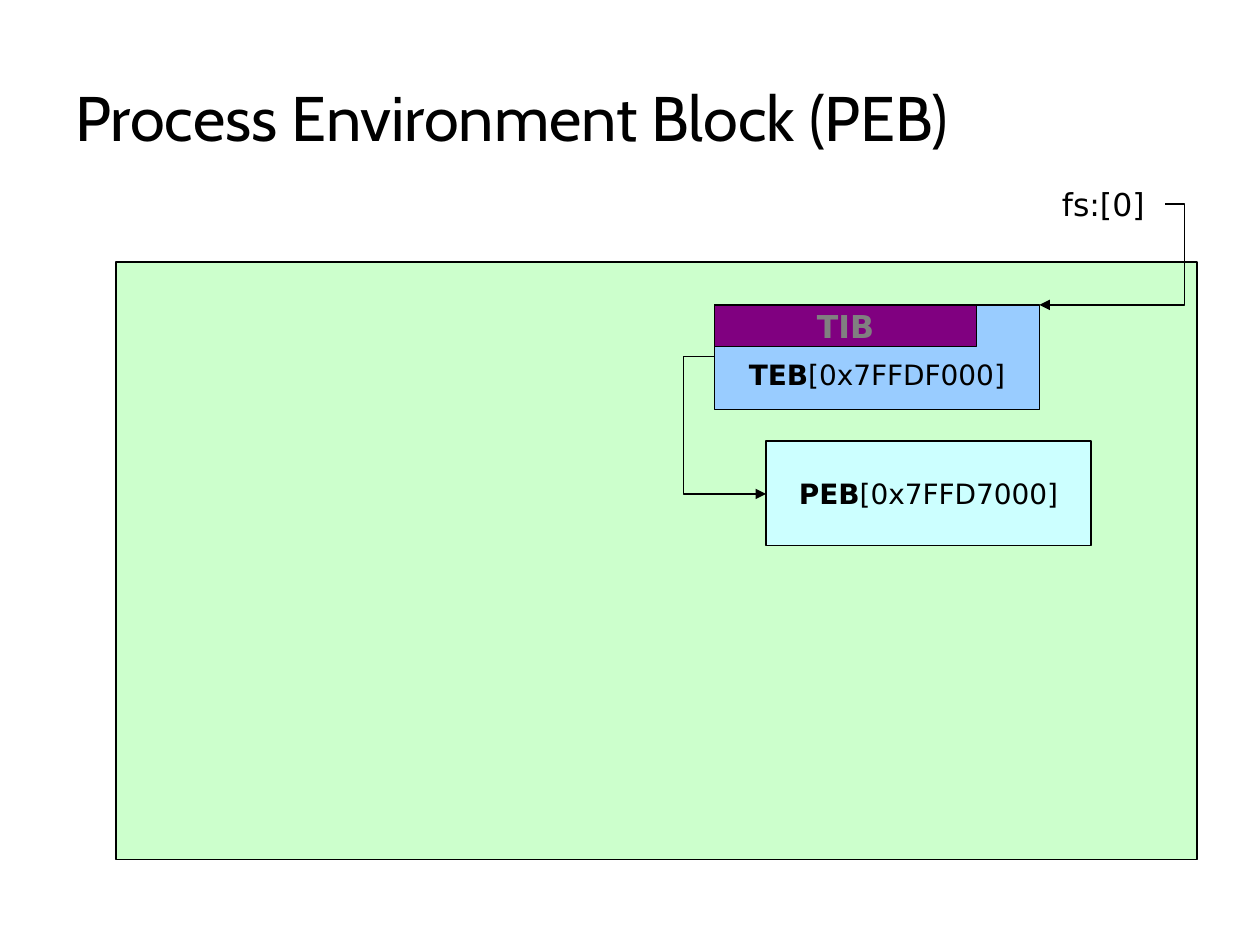
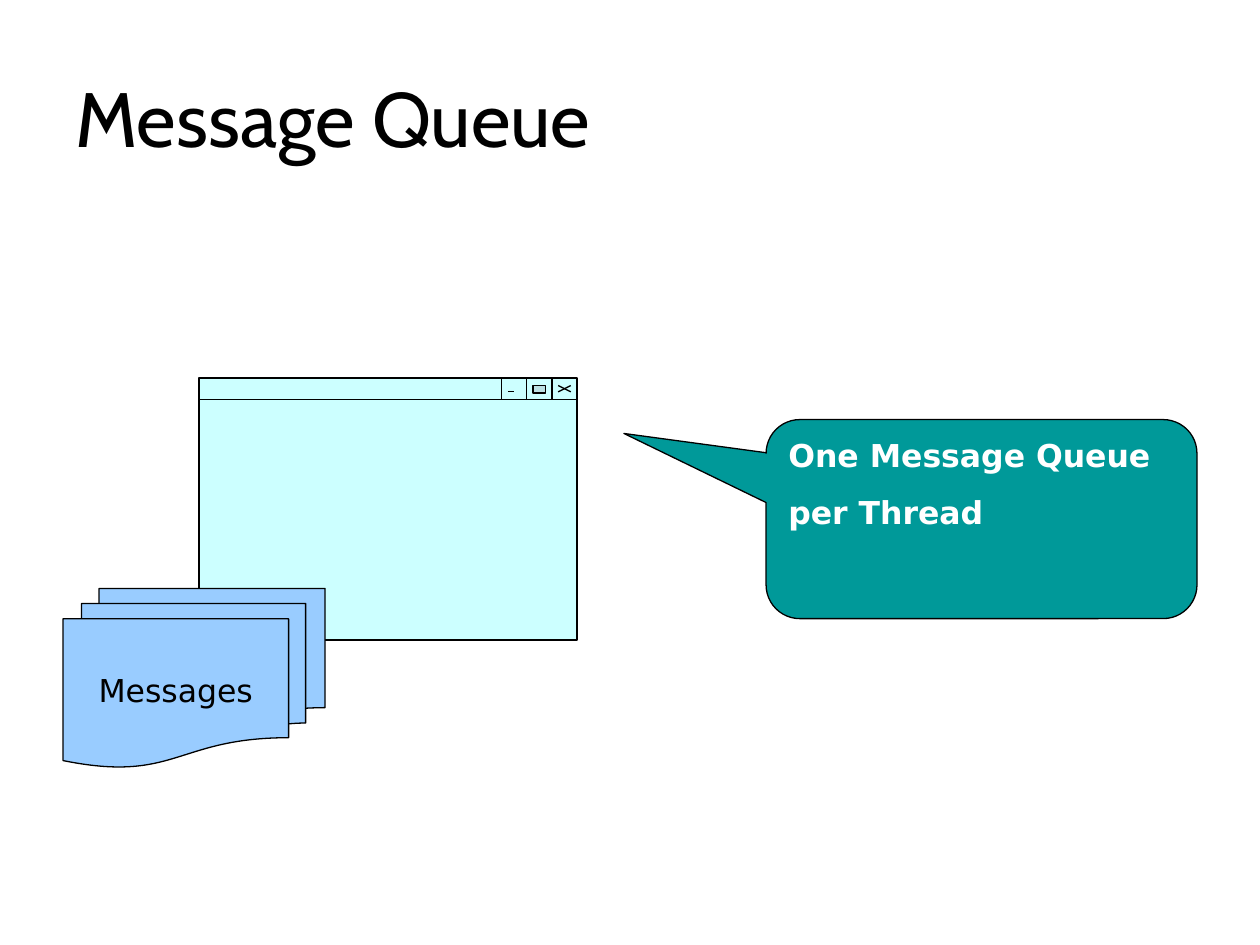
from lxml.etree import SubElement
from pptx import Presentation
from pptx.dml.color import RGBColor
from pptx.enum.shapes import MSO_CONNECTOR as Connector, MSO_SHAPE as Shape
from pptx.enum.text import MSO_ANCHOR as Anchor, PP_ALIGN as Align
from pptx.oxml.ns import qn
from pptx.util import Inches, Pt

BLACK = RGBColor(0x00, 0x00, 0x00)
WHITE = RGBColor(0xFF, 0xFF, 0xFF)
GRAY = RGBColor(0x80, 0x80, 0x80)
GREEN = RGBColor(0xCC, 0xFF, 0xCC)
AQUA = RGBColor(0xCC, 0xFF, 0xFF)
BLUE = RGBColor(0x99, 0xCC, 0xFF)
PURPLE = RGBColor(0x80, 0x00, 0x80)
TEAL = RGBColor(0x00, 0x99, 0x99)
PALE_TEAL = RGBColor(0xBB, 0xE0, 0xE3)


class Deck:
    title_font = "Cabin"
    body_font = "DejaVu Sans"
    line_width = Pt(0.75)
    centered = {"word_wrap": False, "vertical_anchor": Anchor.MIDDLE}

    def __init__(self):
        self.presentation = Presentation()
        self.presentation.slide_width = Inches(10)
        self.presentation.slide_height = Inches(7.5)
        self.shapes = None

    def new_slide(self, title, size):
        slide = self.presentation.slides.add_slide(self.presentation.slide_layouts[6])
        self.shapes = slide.shapes
        self.label((0.5, 0.3, 9, 1.25), title, size, self.title_font)

    def fill_text(self, frame, paragraphs, frame_format, align=Align.LEFT, space=0,
                  name=body_font, size=18, color=BLACK):
        for attribute, value in frame_format.items():
            setattr(frame, attribute, value)
        for index, runs in enumerate(paragraphs):
            paragraph = frame.paragraphs[0] if index == 0 else frame.add_paragraph()
            paragraph.alignment = align
            if index:
                paragraph.space_before = Pt(space)
            for text, bold in runs:
                run = paragraph.add_run()
                run.text = text
                run.font.color.rgb = color
                font_format = {"name": name, "size": Pt(size), "bold": bold}
                for attribute, value in font_format.items():
                    setattr(run.font, attribute, value)

    def label(self, box, text, size, font):
        frame = self.shapes.add_textbox(*map(Inches, box)).text_frame
        frame_format = {"word_wrap": True, "vertical_anchor": Anchor.MIDDLE}
        self.fill_text(frame, [[(text, False)]], frame_format, size=size, name=font)

    def outline(self, line):
        line.color.rgb = BLACK
        line.width = self.line_width

    def shape(self, kind, box, fill):
        shape = self.shapes.add_shape(kind, *map(Inches, box))
        shape.shadow.inherit = False
        shape.fill.solid()
        shape.fill.fore_color.rgb = fill
        self.outline(shape.line)
        return shape

    def block(self, box, fill, runs, kind=Shape.RECTANGLE, top=0.05, **font_format):
        frame = self.shape(kind, box, fill).text_frame
        frame_format = self.centered | {"margin_top": Inches(top)}
        self.fill_text(frame, [runs], frame_format, Align.CENTER, **font_format)

    def callout(self, box, fill, lines, adjustments):
        callout = self.shape(Shape.ROUNDED_RECTANGULAR_CALLOUT, box, fill)
        for index, value in enumerate(adjustments):
            callout.adjustments[index] = value
        frame_format = {"word_wrap": True, "vertical_anchor": Anchor.TOP}
        paragraphs = [[(text, True)] for text in lines]
        self.fill_text(callout.text_frame, paragraphs, frame_format, space=11.2, color=WHITE)

    def line(self, start, end, kind=Connector.STRAIGHT):
        connector = self.shapes.add_connector(kind, *map(Inches, start + end))
        self.outline(connector.line)
        SubElement(connector.element.spPr, qn("a:effectLst"))
        return connector

    def elbow_arrow(self, start, end, bend):
        properties = self.line(start, end, Connector.ELBOW).element.spPr
        SubElement(properties.find(qn("a:ln")), qn("a:tailEnd"), type="triangle")
        guides = properties.find(qn("a:prstGeom")).find(qn("a:avLst"))
        SubElement(guides, qn("a:gd"), name="adj1", fmla=f"val {round(bend * 100000)}")

    def window(self, left, top, width, height):
        slide_shapes = self.shapes
        self.shapes = slide_shapes.add_group_shape().shapes
        right, bar, button = left + width, top + 0.17, 0.2
        self.shape(Shape.RECTANGLE, (left, top, width, height), AQUA)
        self.line((left, bar), (right, bar))
        minimize, maximize, close = [right - button * count for count in (3, 2, 1)]
        for edge in (minimize, maximize, close):
            self.line((edge, top), (edge, bar))
        icon_top, icon_bottom = top + 0.06, top + 0.11
        self.line((minimize + 0.05, icon_bottom), (minimize + 0.1, icon_bottom))
        self.shape(Shape.RECTANGLE, (maximize + 0.05, icon_top, 0.1, 0.06), PALE_TEAL)
        for first, last in ((0.05, 0.15), (0.15, 0.05)):
            self.line((close + first, icon_top), (close + last, icon_bottom))
        self.shapes = slide_shapes


def build_environment_block(deck):
    deck.new_slide("Process Environment Block (PEB)", 36)
    deck.shape(Shape.RECTANGLE, (0.92, 2.08, 8.58, 4.74), GREEN)
    deck.block((6.08, 3.5, 2.58, 0.83), AQUA, [("PEB", True), ("[0x7FFD7000]", False)], size=16)
    deck.block((5.67, 2.42, 2.58, 0.83), BLUE, [("TEB", True), ("[0x7FFDF000]", False)],
               top=0.32, size=16)
    deck.block((5.67, 2.42, 2.08, 0.33), PURPLE, [("TIB", True)], color=GRAY)
    deck.label((8.33, 1.42, 0.92, 0.4), "fs:[0]", 18, deck.body_font)
    deck.elbow_arrow((9.25, 1.62), (8.25, 2.42), -0.15)
    deck.elbow_arrow((5.67, 2.83), (6.08, 3.92), -0.6)


def build_message_queue(deck):
    deck.new_slide("Message Queue", 44)
    deck.window(1.58, 3, 3, 2.08)
    deck.block((0.5, 4.67, 2.08, 1.42), BLUE, [("Messages", False)],
               kind=Shape.FLOWCHART_MULTIDOCUMENT)
    deck.callout((6.08, 3.33, 3.42, 1.58), TEAL, ["One Message Queue", "per Thread"],
                 (-0.83, -0.43, 0.17))


def main():
    deck = Deck()
    build_environment_block(deck)
    build_message_queue(deck)
    deck.presentation.save("out.pptx")


if __name__ == "__main__":
    main()
